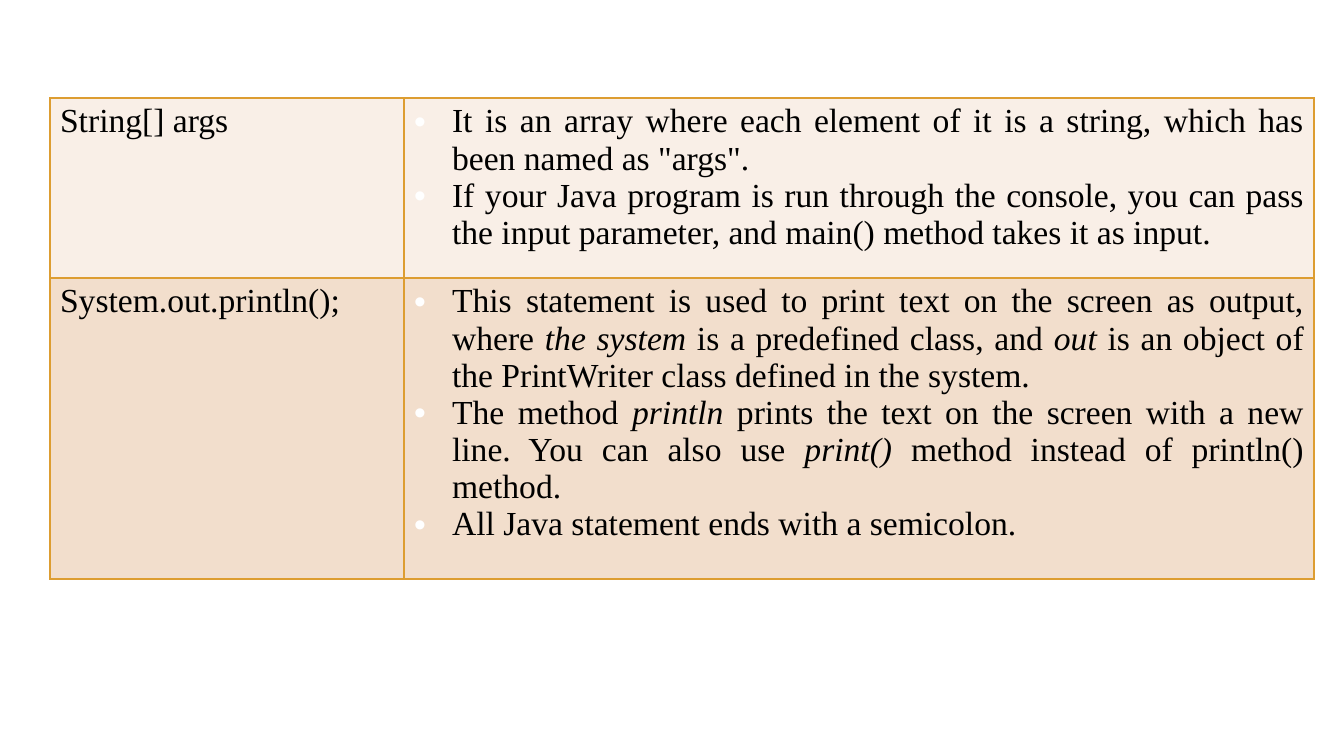
import pptx
import pptx.util
import pptx.dml.color
import pptx.enum.text
import pptx.oxml.ns
from lxml import etree

SCALE = 12192000 / 1344
FONT, SIZE = "Times New Roman", 24
INK, EDGE, DOT = "000000", "DD9D31", "FFFFFF"
COLS = [354, 910]

# Each row: height, fill, term, bullet points (asterisks enclose italics)
ROWS = [
    (180, "F9EFE7", "String[] args", [
        'It is an array where each element of it is a string, which has been named as "args".',
        "If your Java program is run through the console, you can pass the input parameter, "
        "and main() method takes it as input.",
    ]),
    (301, "F2DECC", "System.out.println();", [
        "This statement is used to print text on the screen as output, where *the system* is a "
        "predefined class, and *out* is an object of the PrintWriter class defined in the system.",
        "The method *println* prints the text on the screen with a new line. You can also "
        "use *print()* method instead of println() method.",
        "All Java statement ends with a semicolon.",
    ]),
]


def px(n):
    return pptx.util.Emu(round(n * SCALE))


def color(code):
    return pptx.dml.color.RGBColor.from_string(code)


def add(parent, tag, **attrs):
    node = etree.SubElement(parent, pptx.oxml.ns.qn(tag))
    for key, value in attrs.items():
        node.set(key, str(value))
    return node


def bullet(para):
    props = para._p.get_or_add_pPr()
    props.set("marL", str(px(38)))
    props.set("indent", str(-px(38)))
    add(add(props, "a:buClr"), "a:srgbClr", val=DOT)
    add(props, "a:buFont", typeface="Arial")
    add(props, "a:buChar", char="•")


def write(para, text):
    """Fill a justified paragraph, with the parts between asterisks in italics."""
    para.alignment = pptx.enum.text.PP_ALIGN.JUSTIFY
    for i, part in enumerate(text.split("*")):
        run = para.add_run()
        run.text = part
        run.font.name = FONT
        run.font.size = pptx.util.Pt(SIZE)
        run.font.italic = i % 2 == 1
        run.font.color.rgb = color(INK)


def paint(cell, fill):
    """Give a cell its borders, then its fill, in schema order."""
    props = cell._tc.get_or_add_tcPr()
    for side in ("L", "R", "T", "B"):
        line = add(props, "a:ln" + side, w=pptx.util.Pt(1))
        add(add(line, "a:solidFill"), "a:srgbClr", val=EDGE)
    cell.fill.solid()
    cell.fill.fore_color.rgb = color(fill)


def terms(slide, left, top):
    """Place the table of terms and their meanings."""
    high = sum(row[0] for row in ROWS)
    frame = slide.shapes.add_table(len(ROWS), len(COLS), px(left), px(top),
                                   px(sum(COLS)), px(high))
    table = frame.table
    table.first_row = table.horz_banding = False
    for col, width in zip(table.columns, COLS):
        col.width = px(width)
    for row, (height, fill, term, points) in zip(table.rows, ROWS):
        row.height = px(height)
        name, notes = row.cells
        for cell in (name, notes):
            paint(cell, fill)
        write(name.text_frame.paragraphs[0], term)
        body = notes.text_frame
        for i, point in enumerate(points):
            para = body.add_paragraph() if i else body.paragraphs[0]
            bullet(para)
            write(para, point)


def main():
    deck = pptx.Presentation()
    deck.slide_width, deck.slide_height = px(1344), px(756)
    slide = deck.slides.add_slide(deck.slide_layouts[6])
    terms(slide, 50, 98)
    deck.save("out.pptx")


if __name__ == "__main__":
    main()
